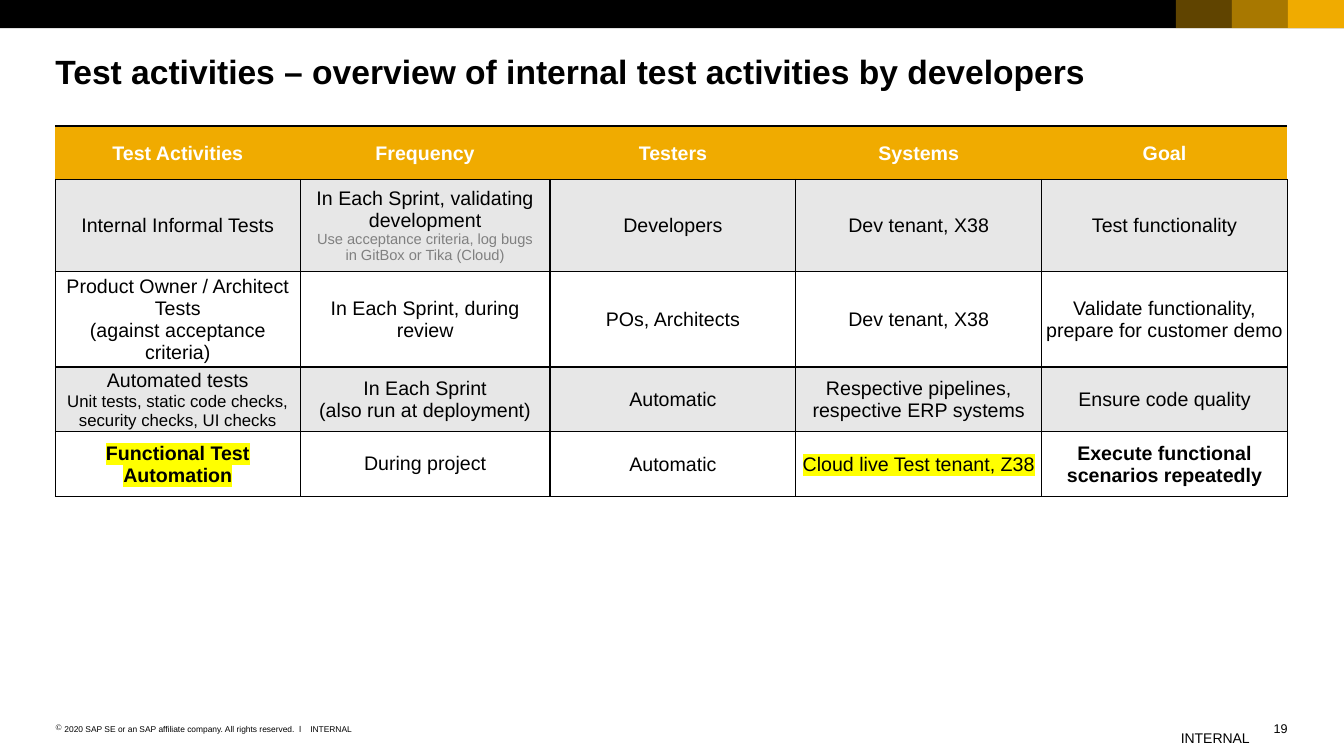
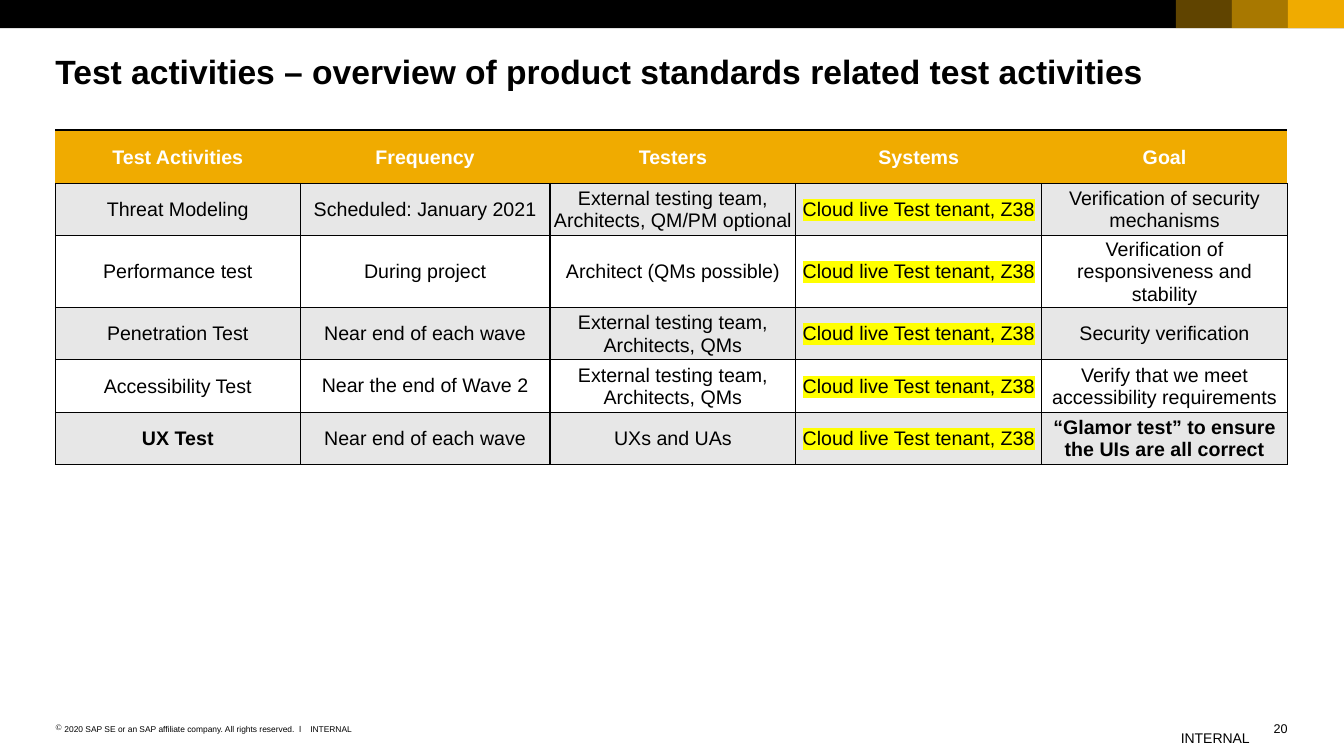
from dataclasses import dataclass

from lxml import etree
from pptx import Presentation
from pptx import util as u
from pptx.dml.color import RGBColor
from pptx.enum import shapes, text
from pptx.oxml import ns

# Shared look
FONT = "Arial"
BLACK, WHITE, GOLD = "000000", "FFFFFF", "F0AB00"
GREY, BAND, YELLOW = "808080", "E7E7E7", "FFFF00"
WIDTH, HEIGHT = 13.34, 7.5
MARGIN = 0.55
BAR_HEIGHT = 0.28
BAR_BLOCK = WIDTH / 24
CONTENT = WIDTH - 2 * MARGIN
COLUMNS = [2.43, 2.48, 2.44, 2.44, 2.44]
HEADERS = ["Test Activities", "Frequency", "Testers", "Systems", "Goal"]
TIGHT = (0.01, 0.01, 0.01, 0)
LOOSE = (0.1, 0.05, 0.1, 0.05)
HEADER_ROW = 0.53
FREQUENCY_COLUMN = 1


@dataclass
class Line:
    """One paragraph and its look."""
    text: str
    size: float = 14
    color: str = BLACK
    bold: bool = False
    highlight: str = ""


@dataclass
class Row:
    height: float
    cells: list[list[Line]]


@dataclass
class Page:
    number: int
    title: str
    table_top: float
    rows: list[Row]


def rgb(color: str) -> RGBColor:
    return RGBColor.from_string(color)


def child(parent, tag: str, **attributes: str):
    return etree.SubElement(parent, ns.qn(tag), attributes)


def write_line(paragraph, line: Line) -> None:
    paragraph.text = line.text
    for run in paragraph.runs:
        font = run.font
        font.name, font.size, font.bold = FONT, u.Pt(line.size), line.bold
        font.color.rgb = rgb(line.color)
        if line.highlight:
            properties = run._r.get_or_add_rPr()
            highlight = child(properties, "a:highlight")
            child(highlight, "a:srgbClr", val=line.highlight)
            properties.find(ns.qn("a:solidFill")).addnext(highlight)


def add_text(slide, left: float, top: float, width: float, height: float,
             line: Line, wrap: bool = True):
    box = slide.shapes.add_textbox(*map(u.Inches, (left, top, width, height)))
    frame = box.text_frame
    frame.margin_left = frame.margin_top = frame.margin_right = frame.margin_bottom = 0
    frame.word_wrap = wrap
    paragraph = frame.paragraphs[0]
    write_line(paragraph, line)
    return paragraph


def add_bar(slide, left: float, width: float, color: str, opacity: int = 100) -> None:
    bar = slide.shapes.add_shape(shapes.MSO_SHAPE.RECTANGLE, u.Inches(left), 0,
                                 u.Inches(width), u.Inches(BAR_HEIGHT))
    bar.shadow.inherit = False
    bar.line.fill.background()
    bar.fill.solid()
    bar.fill.fore_color.rgb = rgb(color)
    if opacity < 100:
        fill_color = bar._element.spPr.find(".//" + ns.qn("a:srgbClr"))
        child(fill_color, "a:alpha", val=str(opacity * 1000))


def add_frame(slide, page: Page) -> None:
    # Top bar with three blocks, palest inwards
    add_bar(slide, 0, WIDTH, BLACK)
    for position, opacity in enumerate((100, 70, 40), start=1):
        add_bar(slide, WIDTH - position * BAR_BLOCK, BAR_BLOCK, GOLD, opacity)

    # Title
    add_text(slide, MARGIN, 0.51, CONTENT, 0.4, Line(page.title, 24, bold=True))

    # Footer
    owner = add_text(slide, MARGIN, 7.18, 2.48, 0.1, Line(
        "2020 SAP SE or an SAP affiliate company. All rights reserved.  ǀ", 6))
    properties = owner._p.get_or_add_pPr()
    indent = u.Inches(0.09)
    properties.set("marL", str(indent))
    properties.set("indent", str(-indent))
    child(properties, "a:buChar", char="©")
    add_text(slide, 3.08, 7.18, 0.42, 0.1, Line("INTERNAL", 6), wrap=False)
    add_text(slide, 11.72, 7.24, 0.69, 0.17, Line("INTERNAL", 10), wrap=False)
    number = add_text(slide, 12.48, 7.15, 0.3, 0.15, Line(str(page.number), 9))
    number.alignment = text.PP_ALIGN.RIGHT


def set_borders(cell, left: float, right: float, top: float, bottom: float) -> None:
    """Border widths in points; zero means no line."""
    properties = cell._tc.get_or_add_tcPr()
    sides = zip(("a:lnL", "a:lnR", "a:lnT", "a:lnB"), (left, right, top, bottom))
    for index, (tag, width) in enumerate(sides):
        border = child(properties, tag, w=str(u.Pt(width)))
        if width:
            child(child(border, "a:solidFill"), "a:srgbClr", val=BLACK)
        else:
            child(border, "a:noFill")
        properties.insert(index, border)


def fill_cell(cell, lines: list[Line], fill: str, margins: tuple) -> None:
    (cell.margin_left, cell.margin_top,
     cell.margin_right, cell.margin_bottom) = map(u.Inches, margins)
    cell.vertical_anchor = text.MSO_ANCHOR.MIDDLE
    cell.fill.solid()
    cell.fill.fore_color.rgb = rgb(fill)
    frame = cell.text_frame
    for index, line in enumerate(lines):
        paragraph = frame.add_paragraph() if index else frame.paragraphs[0]
        write_line(paragraph, line)
        paragraph.alignment = text.PP_ALIGN.CENTER


def add_activities(slide, page: Page) -> None:
    header = Row(HEADER_ROW, [[Line(name, color=WHITE, bold=True)] for name in HEADERS])
    rows = [header, *page.rows]
    table = slide.shapes.add_table(
        len(rows), len(COLUMNS), u.Inches(MARGIN), u.Inches(page.table_top),
        u.Inches(sum(COLUMNS)), u.Inches(sum(row.height for row in rows))).table
    table.first_row = table.horz_banding = False
    for column, width in zip(table.columns, COLUMNS):
        column.width = u.Inches(width)
    for row_index, row in enumerate(rows):
        table.rows[row_index].height = u.Inches(row.height)
        is_header = row_index == 0
        fill = GOLD if is_header else BAND if row_index % 2 else WHITE
        for column_index, lines in enumerate(row.cells):
            cell = table.cell(row_index, column_index)
            loose = column_index == FREQUENCY_COLUMN and not is_header
            fill_cell(cell, lines, fill, LOOSE if loose else TIGHT)
            set_borders(cell, *((0, 0, 2, 1) if is_header else (1, 1, 1, 1)))


def plain(*names: str) -> list[list[Line]]:
    return [[Line(name)] for name in names]


# Content
LIVE_TENANT = [Line("Cloud live Test tenant, Z38", highlight=YELLOW)]
TEAM = "External testing team, Architects, QMs"

PAGES = [
    Page(19, "Test activities – overview of internal test activities by developers", 1.25, [
        Row(0.85, [
            [Line("Internal Informal Tests")],
            [Line("In Each Sprint, validating development"),
             Line("Use acceptance criteria, log bugs in GitBox or Tika (Cloud)", 10.5, GREY)],
            *plain("Developers", "Dev tenant, X38", "Test functionality")]),
        Row(0.88, [
            [Line("Product Owner / Architect Tests"), Line("(against acceptance criteria)")],
            *plain("In Each Sprint, during review", "POs, Architects", "Dev tenant, X38",
                   "Validate functionality, prepare for customer demo")]),
        Row(0.64, [
            [Line("Automated tests"),
             Line("Unit tests, static code checks, security checks, UI checks", 12)],
            [Line("In Each Sprint"), Line("(also run at deployment)")],
            *plain("Automatic", "Respective pipelines, respective ERP systems",
                   "Ensure code quality")]),
        Row(0.64, [
            [Line("Functional Test Automation", bold=True, highlight=YELLOW)],
            *plain("During project", "Automatic"), LIVE_TENANT,
            [Line("Execute functional scenarios repeatedly", bold=True)]]),
    ]),
    Page(20, "Test activities – overview of product standards related test activities", 1.29, [
        Row(0.52, [
            *plain("Threat Modeling", "Scheduled: January 2021",
                   "External testing team, Architects, QM/PM optional"),
            LIVE_TENANT, *plain("Verification of security mechanisms")]),
        Row(0.67, [
            *plain("Performance test", "During project", "Architect (QMs possible)"),
            LIVE_TENANT, *plain("Verification of responsiveness and stability")]),
        Row(0.52, [
            *plain("Penetration Test", "Near end of each wave", TEAM),
            LIVE_TENANT, *plain("Security verification")]),
        Row(0.52, [
            *plain("Accessibility Test", "Near the end of Wave 2", TEAM),
            LIVE_TENANT, *plain("Verify that we meet accessibility requirements")]),
        Row(0.52, [
            [Line("UX Test", bold=True)],
            *plain("Near end of each wave", "UXs and UAs"), LIVE_TENANT,
            [Line("“Glamor test” to ensure the UIs are all correct", bold=True)]]),
    ]),
]


def main() -> None:
    presentation = Presentation()
    presentation.slide_width = u.Inches(WIDTH)
    presentation.slide_height = u.Inches(HEIGHT)
    blank = presentation.slide_layouts[6]
    for page in PAGES:
        slide = presentation.slides.add_slide(blank)
        add_frame(slide, page)
        add_activities(slide, page)
    presentation.save("out.pptx")


if __name__ == "__main__":
    main()
